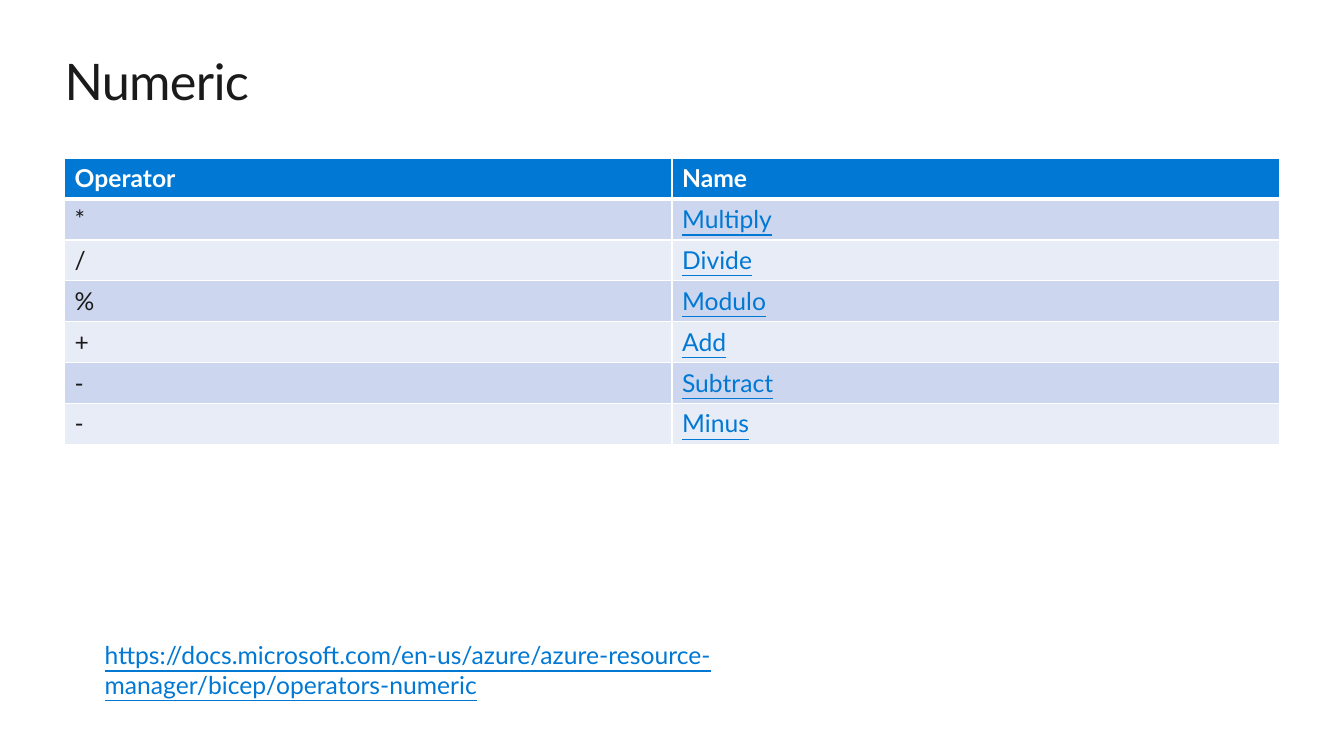
from dataclasses import dataclass

from lxml.etree import SubElement
from pptx import Presentation
from pptx.dml.color import RGBColor
from pptx.enum.text import MSO_ANCHOR
from pptx.oxml.ns import qn
from pptx.slide import Slide
from pptx.table import _Cell
from pptx.text.text import TextFrame
from pptx.util import Inches, Pt

FONT = "Lato"
WHITE, INK, BLUE = "FFFFFF", "1A1A1A", "0078D4"
BANDS = ("CCD6EF", "E7ECF7")
BODY_SIZE = 17.6
LEFT, WIDTH = 0.64, 12.05


@dataclass(frozen=True)
class TextStyle:
    color: str
    size: float = BODY_SIZE
    bold: bool = False
    underline: bool = False
    spacing: float = 0


@dataclass(frozen=True)
class Operator:
    symbol: str
    name: str


TITLE = TextStyle(INK, size=36, spacing=-0.5)
HEADER = TextStyle(WHITE, bold=True)
BODY = TextStyle(INK)
LINK = TextStyle(BLUE, underline=True)

OPERATORS = [
    Operator("*", "Multiply"),
    Operator("/", "Divide"),
    Operator("%", "Modulo"),
    Operator("+", "Add"),
    Operator("-", "Subtract"),
    Operator("-", "Minus"),
]


def rgb(color: str) -> RGBColor:
    return RGBColor.from_string(color)


def add_run(frame: TextFrame, text: str, style: TextStyle) -> None:
    run = frame.paragraphs[0].add_run()
    run.text = text
    font = run.font
    font.name, font.size = FONT, Pt(style.size)
    font.bold, font.underline = style.bold, style.underline
    font.color.rgb = rgb(style.color)
    if style.spacing:
        run._r.get_or_add_rPr().set("spc", str(round(style.spacing * 100)))


def add_text(slide: Slide, left: float, top: float, width: float, height: float,
             text: str, style: TextStyle, inset: bool = True) -> None:
    box = slide.shapes.add_textbox(Inches(left), Inches(top), Inches(width), Inches(height))
    frame = box.text_frame
    frame.word_wrap = True
    if not inset:
        frame.margin_left = frame.margin_right = Inches(0)
        frame.margin_top = frame.margin_bottom = Inches(0)
    add_run(frame, text, style)


def set_borders(cell: _Cell, top: float, bottom: float) -> None:
    properties = cell._tc.get_or_add_tcPr()
    for side, width in (("L", 1), ("R", 1), ("T", top), ("B", bottom)):
        line = SubElement(properties, qn(f"a:ln{side}"), w=str(Pt(width)))
        fill = SubElement(line, qn("a:solidFill"))
        SubElement(fill, qn("a:srgbClr"), val=WHITE)


def fill_cell(cell: _Cell, text: str, style: TextStyle, fill: str,
              top: float = 1, bottom: float = 1) -> None:
    set_borders(cell, top, bottom)
    cell.fill.solid()
    cell.fill.fore_color.rgb = rgb(fill)
    cell.vertical_anchor = MSO_ANCHOR.TOP
    add_run(cell.text_frame, text, style)


def add_operator_table(slide: Slide) -> None:
    row_count = len(OPERATORS) + 1
    table = slide.shapes.add_table(row_count, 2, Inches(LEFT), Inches(1.57),
                                   Inches(WIDTH), Inches(2.84)).table
    table.first_row = table.horz_banding = False

    # Header row with a thick rule below
    for column, heading in enumerate(("Operator", "Name")):
        fill_cell(table.cell(0, column), heading, HEADER, BLUE, bottom=3)

    # Banded operator rows
    for index, operator in enumerate(OPERATORS):
        band = BANDS[index % 2]
        top = 3 if index == 0 else 1
        fill_cell(table.cell(index + 1, 0), operator.symbol, BODY, band, top)
        fill_cell(table.cell(index + 1, 1), operator.name, LINK, band, top)


def main() -> None:
    presentation = Presentation()
    presentation.slide_width, presentation.slide_height = Inches(13.33), Inches(7.5)
    slide = presentation.slides.add_slide(presentation.slide_layouts[6])

    # Title
    add_text(slide, LEFT, 0.5, WIDTH, 0.61, "Numeric", TITLE, inset=False)

    # Operators
    add_operator_table(slide)

    # Reference address
    add_text(slide, 0.94, 6.3, 7.37, 0.7,
             "https://docs.microsoft.com/en-us/azure/azure-resource-manager/bicep/operators-numeric",
             LINK)

    presentation.save("out.pptx")


if __name__ == "__main__":
    main()
